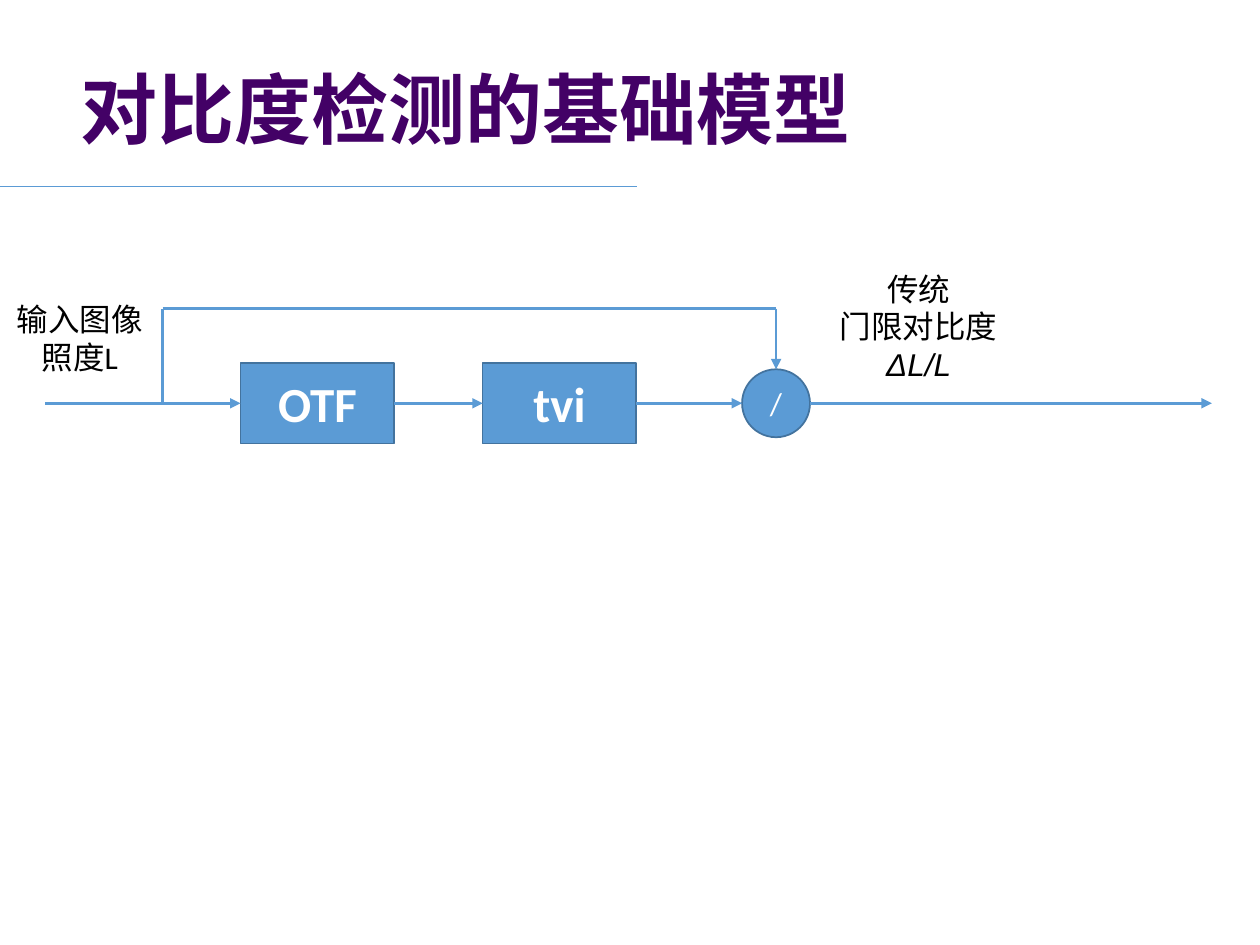
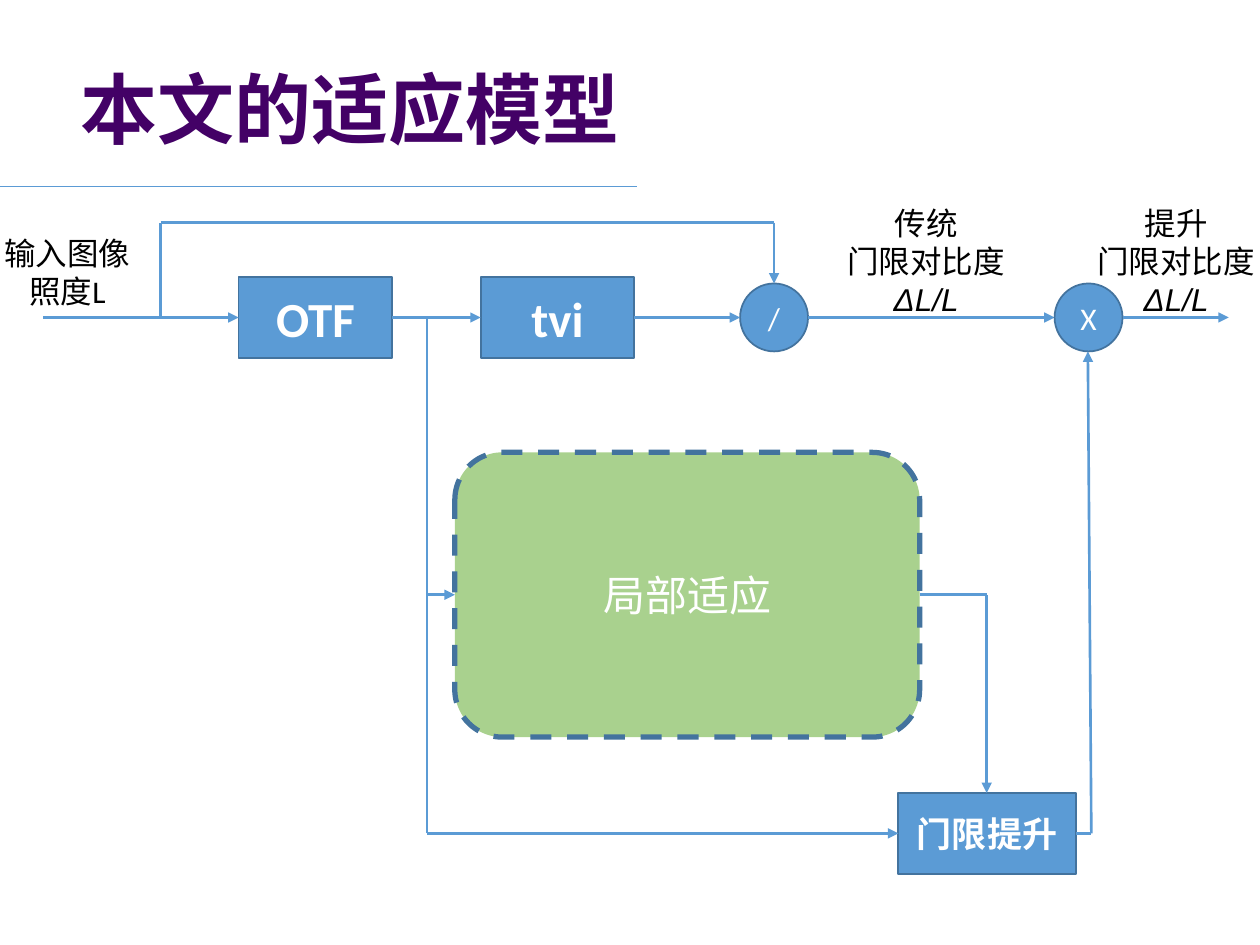
from itertools import pairwise

from lxml.etree import SubElement
from pptx import Presentation
from pptx.dml.color import RGBColor
from pptx.enum.dml import MSO_LINE
from pptx.enum.shapes import MSO_CONNECTOR, MSO_SHAPE
from pptx.enum.text import MSO_ANCHOR, MSO_AUTO_SIZE, PP_ALIGN
from pptx.oxml.ns import qn
from pptx.util import Cm, Pt

PURPLE = RGBColor(0x43, 0x01, 0x66)
BLUE = RGBColor(0x5B, 0x9B, 0xD5)
EDGE = RGBColor(0x43, 0x73, 0x9E)
GREEN = RGBColor(0xA9, 0xD1, 0x8E)
WHITE = RGBColor(0xFF, 0xFF, 0xFF)
BLACK = RGBColor(0, 0, 0)

BOX_W, BOX_H, DISC = 3.1, 1.63, 1.37


class Deck:
    """Holds the style and the current slide; all lengths are in cm."""

    def __init__(self):
        self.show = Presentation()
        self.show.slide_width, self.show.slide_height = Cm(25.4), Cm(19.05)

    def start(self, title, width):
        """Add a slide with its title and the thin rule below it."""
        self.slide = self.show.slides.add_slide(self.show.slide_layouts[5])
        head = self.slide.shapes.title
        head.left, head.top = Cm(1.37), Cm(1.12)
        head.width, head.height = Cm(width), Cm(2.13)
        self.fill_text(head, title, 44, PURPLE, bold=True, align=PP_ALIGN.LEFT)
        head.text_frame.vertical_anchor = MSO_ANCHOR.TOP
        head.text_frame.auto_size = MSO_AUTO_SIZE.NONE
        head.text_frame.word_wrap = False
        self.line((0, 3.76), (12.85, 3.76), 0.5)

    def fill_text(self, shape, text, size, color, font="Calibri", bold=False,
                  align=PP_ALIGN.CENTER):
        shape.text_frame.text = text
        for para in shape.text_frame.paragraphs:
            para.alignment = align
            for run in para.runs:
                run.font.name, run.font.size = font, Pt(size)
                run.font.bold = bold
                run.font.color.rgb = color

    def node(self, kind, left, mid, width, height, text, size,
             bold=False, fill=BLUE, edge=1):
        """Add a filled shape centred on the height mid."""
        shape = self.slide.shapes.add_shape(
            kind, Cm(left), Cm(mid - height / 2), Cm(width), Cm(height))
        shape.shadow.inherit = False
        shape.fill.solid()
        shape.fill.fore_color.rgb = fill
        shape.line.color.rgb = EDGE
        shape.line.width = Pt(edge)
        self.fill_text(shape, text, size, WHITE, bold=bold)
        shape.text_frame.vertical_anchor = MSO_ANCHOR.MIDDLE
        return shape

    def box(self, left, mid, text, width=BOX_W, size=28):
        self.node(MSO_SHAPE.RECTANGLE, left, mid, width, BOX_H, text, size, True)

    def disc(self, left, mid, text):
        self.node(MSO_SHAPE.OVAL, left, mid, DISC, DISC, text, 18)

    def label(self, center, top, text, width, height, font="Calibri"):
        shape = self.slide.shapes.add_textbox(
            Cm(center - width / 2), Cm(top), Cm(width), Cm(height))
        self.fill_text(shape, text, 18, BLACK, font)
        shape.text_frame.word_wrap = False
        return shape

    def source(self, center, top):
        self.label(center, top, "输入图像\n照度L", 3.07, 1.8)

    def ratio(self, center, top, name):
        """Label a threshold contrast, with its formula in italics."""
        shape = self.label(center, top, f"{name}\n门限对比度\nΔL/L", 3.71, 2.57, "Arial")
        shape.text_frame.paragraphs[-1].runs[0].font.italic = True

    def line(self, start, end, width=1.5, arrow=False):
        link = self.slide.shapes.add_connector(
            MSO_CONNECTOR.STRAIGHT, *map(Cm, start + end))
        link.line.color.rgb = BLUE
        link.line.width = Pt(width)
        props = link.element.spPr
        if arrow:
            SubElement(props.find(qn("a:ln")), qn("a:tailEnd"), type="triangle")
        SubElement(props, qn("a:effectLst"))

    def route(self, *points):
        """Join the points by lines, with an arrowhead at the last."""
        for start, end in pairwise(points):
            self.line(start, end, arrow=end is points[-1])

    def chain(self, mid, shift, end):
        """Draw the basic model along the height mid."""
        otf, tvi, ratio = (x + shift for x in (4.85, 9.73, 14.96))
        tap, top, drop = 3.28 + shift, mid - 1.91, ratio + DISC / 2
        self.box(otf, mid, "OTF")
        self.box(tvi, mid, "tvi")
        self.disc(ratio, mid, "/")
        stops = ((0.91 + shift, otf), (otf + BOX_W, tvi),
                 (tvi + BOX_W, ratio), (ratio + DISC, end))
        for left, right in stops:
            self.route((left, mid), (right, mid))
        self.route((tap, mid), (tap, top), (drop, top), (drop, mid - DISC / 2))


def basic(deck):
    deck.start("对比度检测的基础模型", 16.54)
    deck.chain(8.13, 0, 24.43)
    deck.source(1.61, 5.92)
    deck.ratio(18.52, 5.31, "传统")


def adapt(deck):
    deck.start("本文的适应模型", 11.56)
    mid, low, base = 6.4, 11.99, 16.8
    times, fork, left, width = 21.26, 8.61, 9.17, 9.37
    lift, span, drop, rise = 18.11, 3.58, 19.89, 22.0
    deck.chain(mid, -0.04, times)
    deck.ratio(18.67, 3.99, "传统")
    deck.source(1.36, 4.6)
    local = deck.node(MSO_SHAPE.ROUNDED_RECTANGLE, left, low, width, 5.74,
                      "局部适应", 24, fill=GREEN, edge=3)
    local.line.dash_style = MSO_LINE.DASH
    deck.box(lift, base, "门限提升", span, 20)
    deck.disc(times, mid, "X")
    deck.route((fork, low), (left, low))
    deck.route((fork, mid), (fork, base), (lift, base))
    deck.route((left + width, low), (drop, low), (drop, base - BOX_H / 2))
    deck.route((lift + span, base), (rise, base), (21.93, mid + DISC / 2))
    deck.route((times + DISC, mid), (24.77, mid))
    deck.ratio(23.71, 3.99, "提升")


def main():
    deck = Deck()
    basic(deck)
    adapt(deck)
    deck.show.save("out.pptx")


if __name__ == "__main__":
    main()
